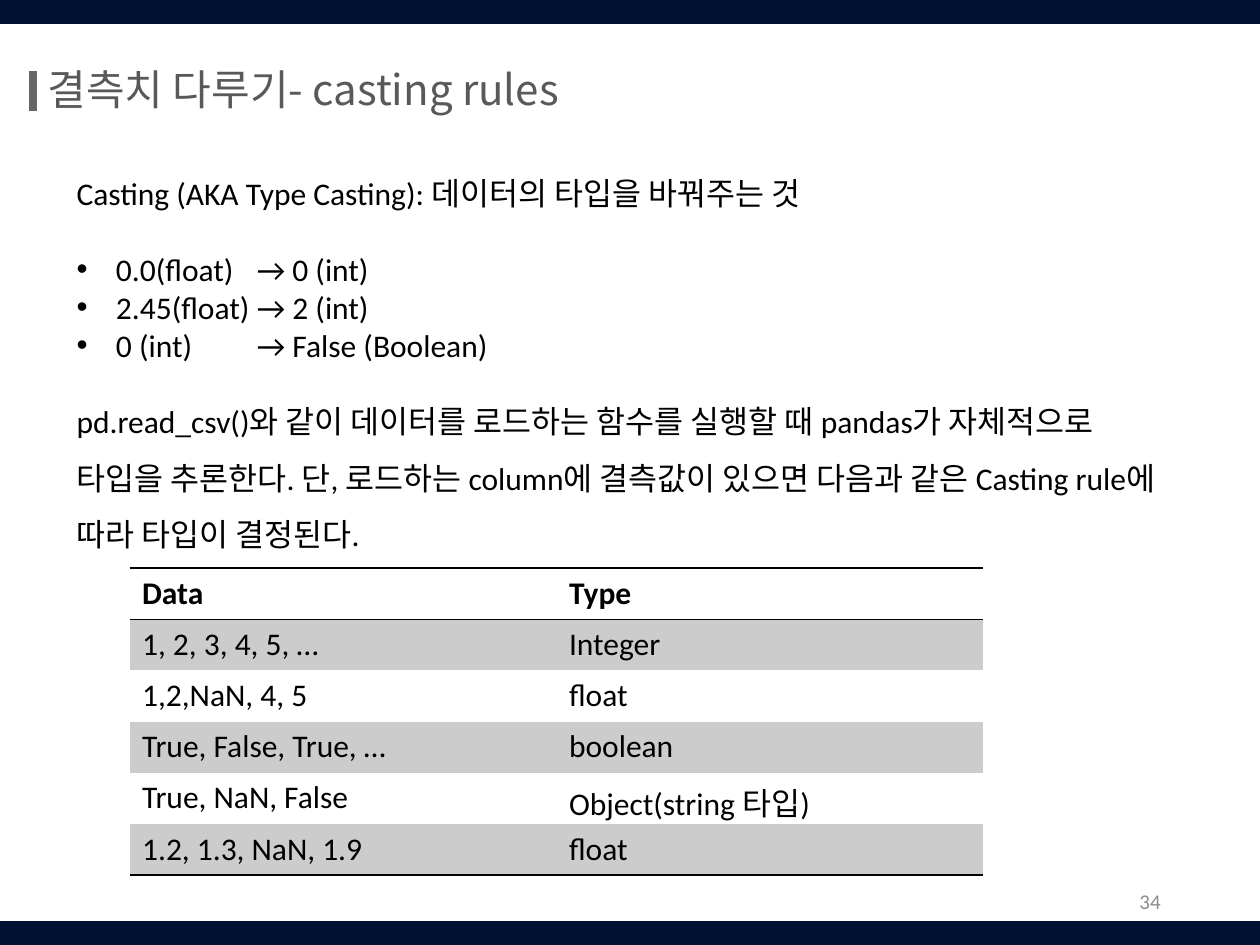
from lxml.etree import SubElement
from pptx import Presentation
from pptx.dml.color import RGBColor
from pptx.enum.shapes import MSO_CONNECTOR, MSO_SHAPE
from pptx.enum.text import MSO_ANCHOR, MSO_AUTO_SIZE, PP_ALIGN
from pptx.oxml.ns import qn
from pptx.util import Pt

COLORS = {"navy": "001132", "title": "595959", "accent": "666666",
          "text": "000000", "number": "8C8C8C", "band": "CCCCCC"}
KOREAN_FONT = "Noto Sans CJK KR"
INTRO = "Casting (AKA Type Casting): 데이터의 타입을 바꿔주는 것"
CASTS = [("0.0(float)", "0 (int)"), ("2.45(float)", "2 (int)"), ("0 (int)", "False (Boolean)")]
EXPLANATION = ("pd.read_csv()와 같이 데이터를 로드하는 함수를 실행할 때 pandas가 자체적으로 "
               "타입을 추론한다. 단, 로드하는 column에 결측값이 있으면 다음과 같은 Casting "
               "rule에 따라 타입이 결정된다.")
TYPE_ROWS = [("Data", "Type"), ("1, 2, 3, 4, 5, …", "Integer"), ("1,2,NaN, 4, 5", "float"),
             ("True, False, True, …", "boolean"), ("True, NaN, False", "Object(string 타입)"),
             ("1.2, 1.3, NaN, 1.9", "float")]


def color(name):
    """Return the named colour."""
    return RGBColor.from_string(COLORS[name])


def write(para, text, size=18, font="Calibri", ink="text", bold=False,
          align=PP_ALIGN.LEFT, spacing=None, before=0):
    """Add formatted text to a paragraph."""
    para.alignment = align
    para.space_before = Pt(before)
    if spacing:
        para.line_spacing = spacing
    span = para.add_run()
    span.text = text
    span.font.size = Pt(size)
    span.font.name = font
    span.font.bold = bold
    span.font.color.rgb = color(ink)
    SubElement(span.font._element, qn("a:ea"), typeface=KOREAN_FONT)


def add_box(page, left, top, width, height):
    """Add a wrapping text box and return its text frame."""
    frame = page.shapes.add_textbox(Pt(left), Pt(top), Pt(width), Pt(height)).text_frame
    frame.word_wrap = True
    return frame


def add_band(page, left, top, width, height):
    """Draw a navy band across the page."""
    band = page.shapes.add_shape(MSO_SHAPE.RECTANGLE, Pt(left), Pt(top), Pt(width), Pt(height))
    band.shadow.inherit = False
    band.fill.solid()
    band.fill.fore_color.rgb = color("navy")
    band.line.fill.background()


def add_title(page, left, top, width, height):
    """Place the title and the accent bar before it."""
    title = page.shapes.title
    title.left, title.top, title.width, title.height = Pt(left), Pt(top), Pt(width), Pt(height)
    frame = title.text_frame
    frame.word_wrap = True
    frame.auto_size = MSO_AUTO_SIZE.NONE
    frame.vertical_anchor = MSO_ANCHOR.TOP
    write(frame.paragraphs[0], "결측치 다루기- casting rules", size=24, font=KOREAN_FONT, ink="title")
    bar = page.shapes.add_connector(MSO_CONNECTOR.STRAIGHT, Pt(left - 1.2), Pt(top + 8),
                                    Pt(left - 1.2), Pt(top + 31))
    bar.line.width = Pt(4.75)
    bar.line.color.rgb = color("accent")
    SubElement(bar._element.spPr, qn("a:effectLst"))


def add_casts(page, left, top, width, height):
    """Write the definition and the bulleted examples with aligned arrows."""
    frame = add_box(page, left, top, width, height)
    write(frame.paragraphs[0], INTRO)
    for index, (value, result) in enumerate(CASTS):
        para = frame.add_paragraph()
        properties = para._p.get_or_add_pPr()
        properties.set("marL", str(Pt(22.5)))
        properties.set("indent", str(-Pt(22.5)))
        SubElement(properties, qn("a:buFont"), typeface="Arial")
        SubElement(properties, qn("a:buChar"), char="•")
        tabs = SubElement(properties, qn("a:tabLst"))
        SubElement(tabs, qn("a:tab"), pos=str(Pt(103)), algn="l")
        write(para, f"{value}\t→ {result}", before=0 if index else 22)


def add_explanation(page, left, top, width, height):
    """Write the paragraph on type inference."""
    frame = add_box(page, left, top, width, height)
    write(frame.paragraphs[0], EXPLANATION, spacing=1.5)


def add_border(cell, side):
    """Draw a thin line along one side of a cell."""
    line = SubElement(cell._tc.get_or_add_tcPr(), qn(f"a:{side}"), w=str(Pt(1)))
    fill = SubElement(line, qn("a:solidFill"))
    SubElement(fill, qn("a:srgbClr"), val=COLORS["text"])


def add_type_table(page, left, top, width, height):
    """Add the banded table of data and resulting types."""
    table = page.shapes.add_table(len(TYPE_ROWS), 2, Pt(left), Pt(top), Pt(width), Pt(height)).table
    table._tbl.tblPr.find(qn("a:tableStyleId")).text = "{2D5ABB26-0587-4C30-8999-92F81FD0307C}"
    for row, texts in enumerate(TYPE_ROWS):
        for column, text in enumerate(texts):
            cell = table.cell(row, column)
            write(cell.text_frame.paragraphs[0], text, bold=row == 0)
            if row == 0:
                add_border(cell, "lnT")
            if row in (0, len(TYPE_ROWS) - 1):
                add_border(cell, "lnB")
            if row % 2:
                cell.fill.solid()
                cell.fill.fore_color.rgb = color("band")
            else:
                cell.fill.background()


def add_page_number(page, left, top, width, height):
    """Write the page number at the lower right."""
    frame = add_box(page, left, top, width, height)
    frame.vertical_anchor = MSO_ANCHOR.MIDDLE
    write(frame.paragraphs[0], "34", size=12, ink="number", align=PP_ALIGN.RIGHT)


def main():
    """Build and save the deck."""
    deck = Presentation()
    deck.slide_width, deck.slide_height = Pt(720), Pt(540)
    page = deck.slides.add_slide(deck.slide_layouts[5])
    for top in (0, 526.3):
        add_band(page, 0, top, 720, 13.7)
    add_title(page, 20, 32.4, 595.5, 36)
    add_casts(page, 36.7, 95.8, 450.7, 116.6)
    add_explanation(page, 36.7, 215.3, 646.6, 101.5)
    add_type_table(page, 74, 324.7, 488, 175.2)
    add_page_number(page, 508.3, 500.4, 162, 28.8)
    deck.save("out.pptx")


if __name__ == "__main__":
    main()
